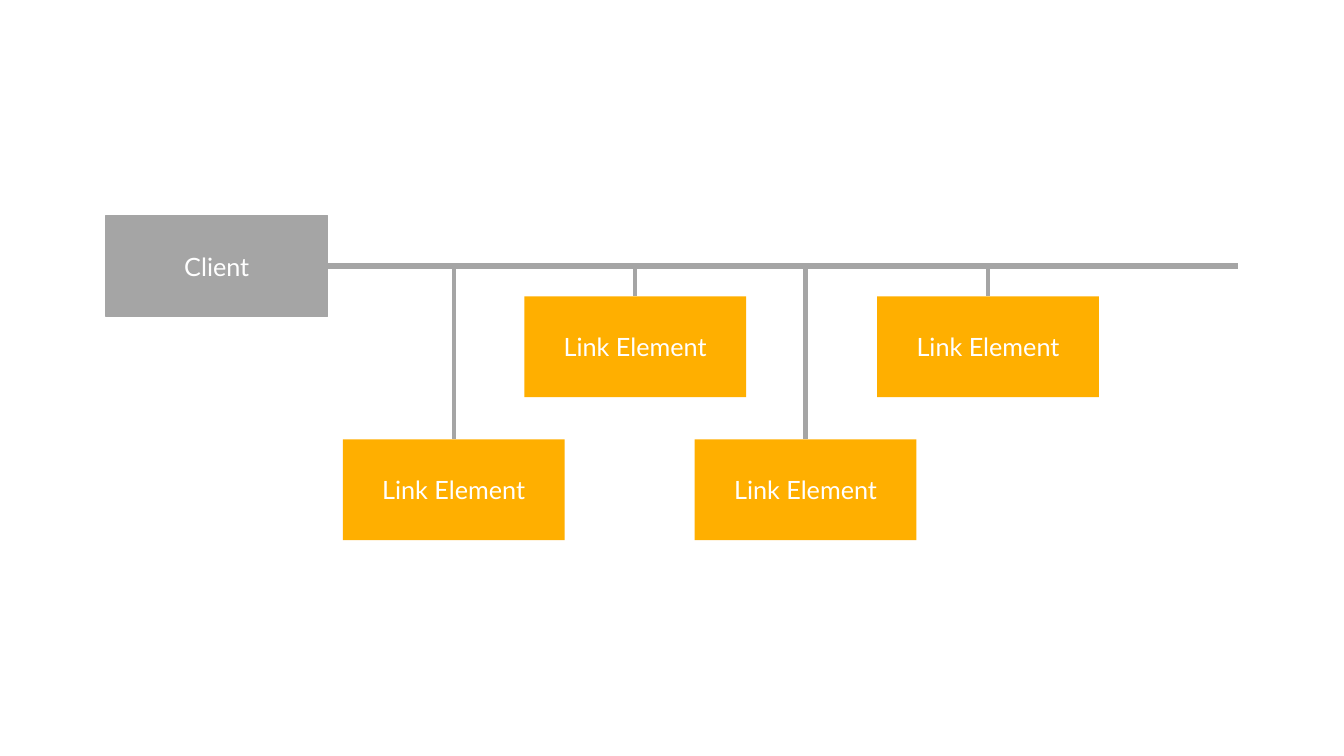
import pptx
import pptx.dml.color
import pptx.enum.shapes
import pptx.enum.text
import pptx.oxml
import pptx.oxml.ns
import pptx.util
from pptx.util import Inches

ORANGE = pptx.dml.color.RGBColor(0xFF, 0xAF, 0x00)
GREY = pptx.dml.color.RGBColor(0xA5, 0xA5, 0xA5)
WHITE = pptx.dml.color.RGBColor(0xFF, 0xFF, 0xFF)
BOX_WIDTH, BOX_HEIGHT = 2.2, 1
UPPER_ROW, LOWER_ROW = 0.8, 2.22
LINK_POSITIONS = [
    (2.35, LOWER_ROW),
    (4.15, UPPER_ROW),
    (5.84, LOWER_ROW),
    (7.65, UPPER_ROW),
]


def write_text(shape, text, *, size, color, font="Lato"):
    """Write one centred line of text in the middle of a shape."""
    frame = shape.text_frame
    frame.word_wrap = True
    frame.vertical_anchor = pptx.enum.text.MSO_ANCHOR.MIDDLE
    paragraph = frame.paragraphs[0]
    paragraph.alignment = pptx.enum.text.PP_ALIGN.CENTER
    run = paragraph.add_run()
    run.text = text
    run.font.name = font
    run.font.size = pptx.util.Pt(size)
    run.font.color.rgb = color


def add_box(slide, left, top, text, fill, outline=None):
    """Add a labelled rectangle, outlined if a colour is given."""
    shape = slide.shapes.add_shape(
        pptx.enum.shapes.MSO_SHAPE.RECTANGLE,
        Inches(left), Inches(top), Inches(BOX_WIDTH), Inches(BOX_HEIGHT),
    )
    shape.shadow.inherit = False
    shape.fill.solid()
    shape.fill.fore_color.rgb = fill
    if outline is None:
        shape.line.fill.background()
    else:
        shape.line.color.rgb = outline
        shape.line.width = pptx.util.Pt(1)
    write_text(shape, text, size=18, color=WHITE)


def add_line(slide, start, end, width):
    """Add a plain grey line between two points."""
    connector = slide.shapes.add_connector(
        pptx.enum.shapes.MSO_CONNECTOR.STRAIGHT,
        *(Inches(value) for value in (*start, *end)),
    )
    connector.line.color.rgb = GREY
    connector.line.width = pptx.util.Pt(width)
    properties = connector._element.spPr
    properties.append(pptx.oxml.parse_xml(
        f'<a:effectLst {pptx.oxml.ns.nsdecls("a")}/>'
    ))


def add_bus_diagram(slide, left, top, width):
    """Draw the client, its bus line and the link elements hanging from it."""
    bus_y = top + BOX_HEIGHT / 2
    add_line(slide, (left + BOX_WIDTH / 2, bus_y), (left + width, bus_y), 4.5)
    for offset_x, offset_y in LINK_POSITIONS:
        box_left, box_top = left + offset_x, top + offset_y
        center = box_left + BOX_WIDTH / 2
        add_line(slide, (center, bus_y), (center, box_top), 3)
        add_box(slide, box_left, box_top, "Link Element", ORANGE)
    add_box(slide, left, top, "Client", GREY, outline=GREY)


def main():
    """Build and save the presentation."""
    presentation = pptx.Presentation()
    presentation.slide_width = Inches(13.33)
    presentation.slide_height = Inches(7.5)
    slide = presentation.slides.add_slide(presentation.slide_layouts[6])
    add_bus_diagram(slide, left=1.05, top=2.14, width=11.23)
    presentation.save("out.pptx")


if __name__ == "__main__":
    main()
